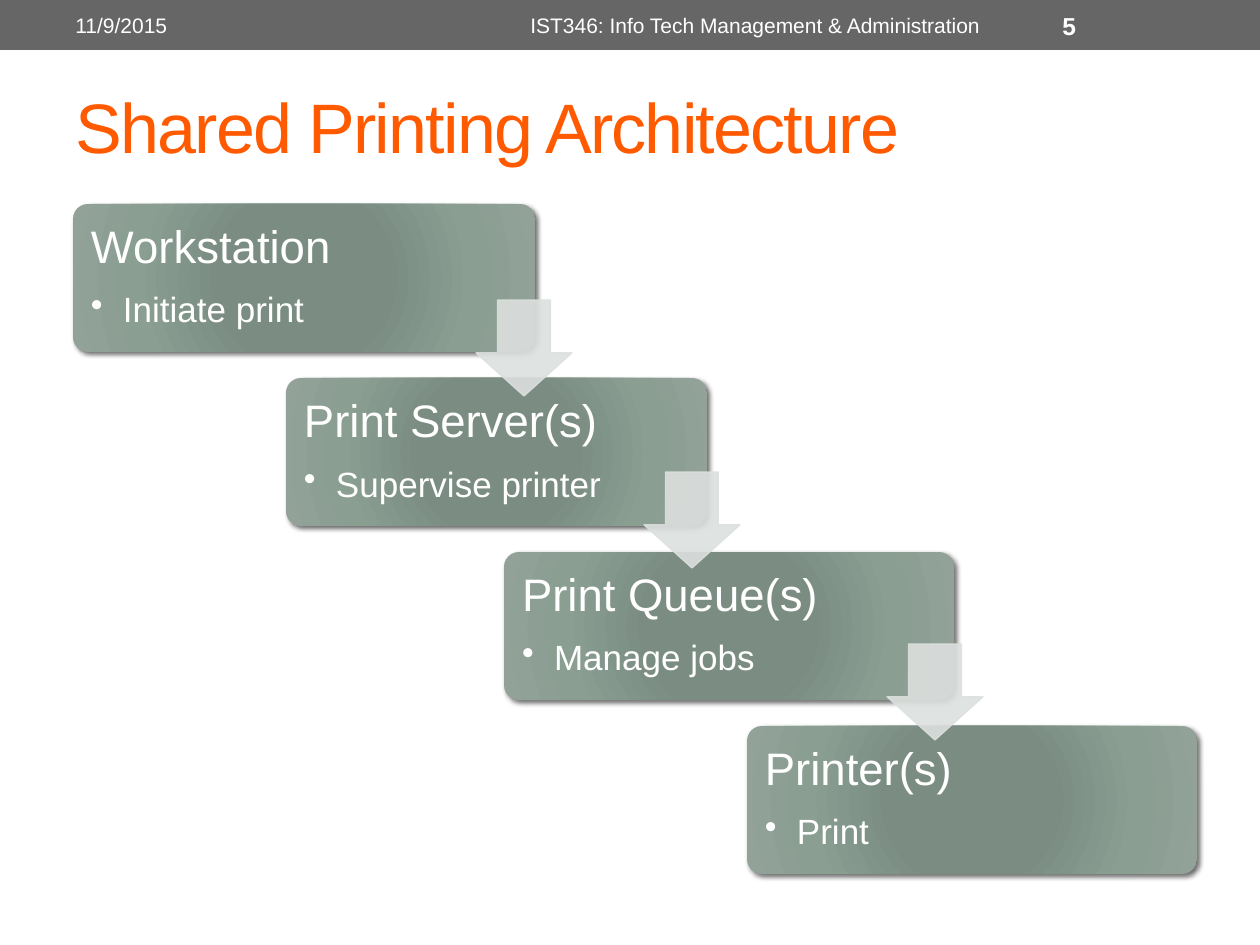
from pptx import Presentation
from pptx.dml.color import RGBColor
from pptx.enum.shapes import MSO_SHAPE as Shape
from pptx.enum.text import MSO_ANCHOR as Anchor, PP_ALIGN as Align
from pptx.oxml import parse_xml
from pptx.oxml.ns import nsdecls, qn
from pptx.util import Pt

PX = 914400 / 126  # EMU in one px
WHITE = RGBColor(0xFF, 0xFF, 0xFF)
GREY = RGBColor(0x66, 0x66, 0x66)
ORANGE = RGBColor(0xFF, 0x5A, 0x00)
PALE = RGBColor(0xDC, 0xE0, 0xDE)
CARD_STOPS = [(0, "7B8E82"), (34, "7B8D83"), (70, "8A9E92"), (100, "93A299")]


def emu(*lengths):
    return [round(length * PX) for length in lengths]


def add_text(at, lines, inset=None):
    """Each line is its text, font values and paragraph values."""
    box = page.shapes.add_textbox(*emu(*at))
    frame = box.text_frame
    frame.word_wrap = True
    frame.vertical_anchor = Anchor.MIDDLE
    if inset:
        for side in ("left", "top", "right", "bottom"):
            setattr(frame, f"margin_{side}", emu(inset)[0])
    for index, (text, font, layout) in enumerate(lines):
        para = frame.add_paragraph() if index else frame.paragraphs[0]
        for name, value in layout.items():
            setattr(para, name, value)
        span = para.add_run()
        span.text = text
        span.font.name = "Arial"
        span.font.color.rgb = font.get("color", WHITE)
        span.font.size = Pt(font["size"])
        span.font.bold = font.get("bold", False)
    return frame


deck = Presentation()
deck.slide_width, deck.slide_height = emu(1260, 945)
page = deck.slides.add_slide(deck.slide_layouts[6])

# Header bar
bar = page.shapes.add_shape(Shape.RECTANGLE, *emu(0, 0, 1260, 50))
bar.shadow.inherit = False
bar.fill.solid()
bar.fill.fore_color.rgb = GREY
bar.line.fill.background()

# Title
title = add_text((63, 73, 1134, 105),
                 [("Shared Printing Architecture", {"size": 40, "color": ORANGE}, {})])
title.paragraphs[0].runs[0].font._element.set("spc", "-100")

# Staircase of cards: left, width, text width, heading, detail
CARDS = [
    (73, 462, 370, "Workstation", "Initiate print"),
    (286, 421, 333, "Print Server(s)", "Supervise printer"),
    (504, 450, 357, "Print Queue(s)", "Manage jobs"),
    (747, 450, 355, "Printer(s)", "Print"),
]
stops = "".join(f'<a:gs pos="{pos * 1000}"><a:srgbClr val="{color}"/></a:gs>'
                for pos, color in CARD_STOPS)
for step, (left, width, text_width, heading, detail) in enumerate(CARDS):
    top = 204 + 174 * step
    card = page.shapes.add_shape(Shape.ROUNDED_RECTANGLE, *emu(left, top, width, 148))
    card.adjustments[0] = 0.1
    card.line.fill.background()
    card.shadow.inherit = False
    props = card._element.spPr
    props.find(qn("a:prstGeom")).addnext(parse_xml(
        f'<a:gradFill {nsdecls("a")} rotWithShape="1"><a:gsLst>{stops}</a:gsLst>'
        '<a:path path="circle"><a:fillToRect l="100000" t="100000" r="100000" b="100000"/>'
        '</a:path></a:gradFill>'))
    props.find(qn("a:effectLst")).append(parse_xml(
        f'<a:outerShdw {nsdecls("a")} blurRad="{Pt(3)}" dist="{Pt(2)}" dir="2700000" '
        'rotWithShape="0"><a:srgbClr val="000000"><a:alpha val="60000"/></a:srgbClr>'
        '</a:outerShdw>'))

    frame = add_text((left + 4, top + 4, text_width, 139), [
        (heading, {"size": 26}, {"line_spacing": 0.9, "space_after": Pt(11)}),
        (detail, {"size": 20}, {"line_spacing": 0.9, "level": 1}),
    ], inset=14)
    bullet = frame.paragraphs[1]._p.get_or_add_pPr()
    indent = emu(32)[0]
    bullet.set("marL", str(indent))
    bullet.set("indent", str(-indent))
    bullet.append(parse_xml(f'<a:buChar {nsdecls("a")} char="•"/>'))

# Arrows from card to card
for step, left in enumerate((476, 644, 887)):
    arrow = page.shapes.add_shape(Shape.DOWN_ARROW, *emu(left, 300 + 172 * step, 96, 96))
    arrow.adjustments[0], arrow.adjustments[1] = 0.55, 0.45
    arrow.shadow.inherit = False
    arrow.fill.solid()
    arrow.fill.fore_color.rgb = PALE
    arrow.line.color.rgb = PALE
    arrow.line.width = Pt(0.75)
    for color in arrow._element.spPr.iter(qn("a:srgbClr")):
        color.append(parse_xml(f'<a:alpha {nsdecls("a")} val="90000"/>'))

# Header text
add_text((63, 3, 400, 45), [("11/9/2015", {"size": 12}, {})])
add_text((472, 3, 567, 45), [("IST346: Info Tech Management & Administration",
                              {"size": 12}, {"alignment": Align.CENTER})])
add_text((1050, 3, 147, 45), [("5", {"size": 14, "bold": True}, {})])

deck.save("out.pptx")
